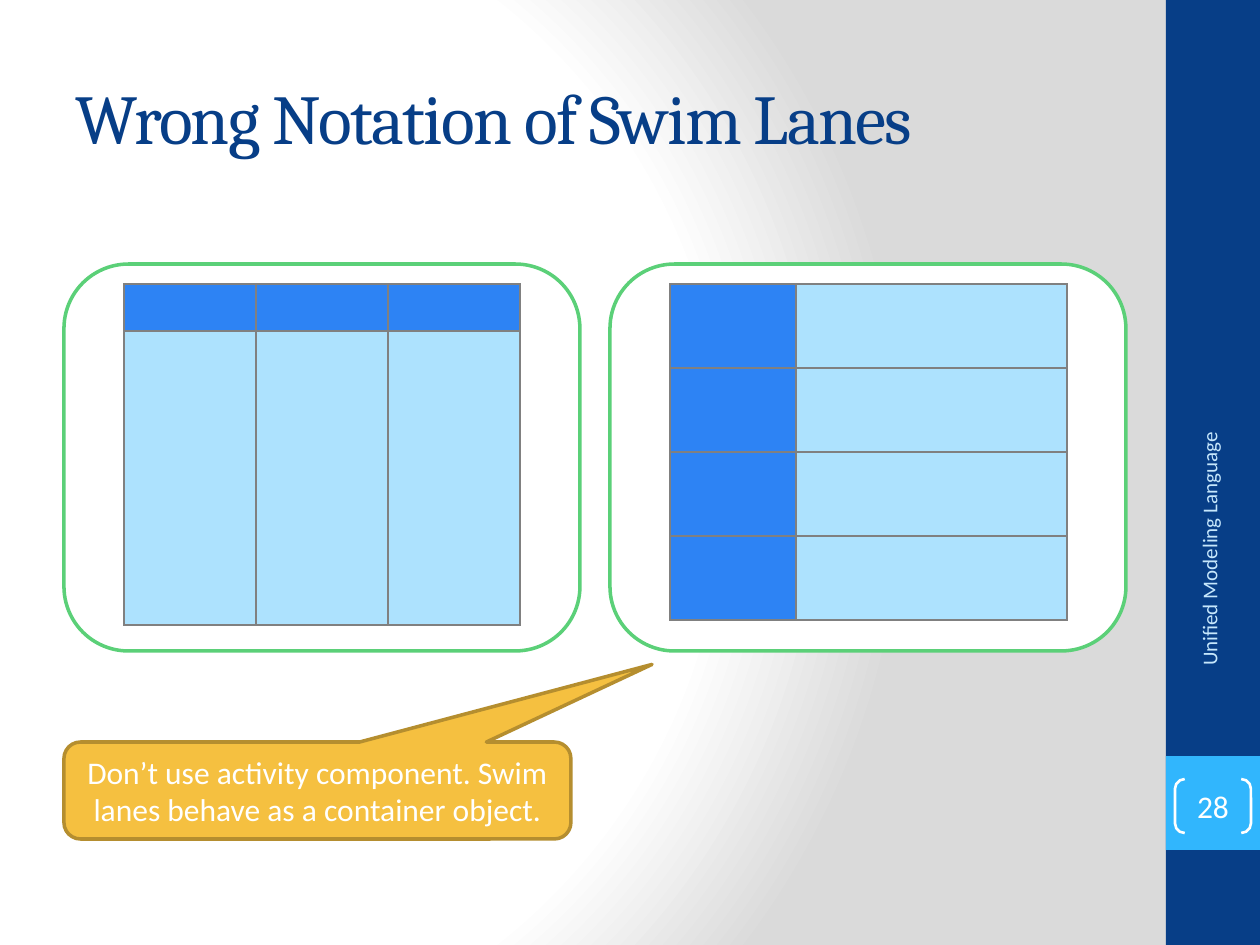
from dataclasses import dataclass
from typing import Optional

from lxml import etree
from pptx import Presentation
from pptx import util as u
from pptx.dml.color import RGBColor
from pptx.enum import shapes, text
from pptx.oxml import ns, parse_xml

PX_PER_INCH = 126
SHAPE = shapes.MSO_SHAPE
ALIGN = text.PP_ALIGN


@dataclass(frozen=True)
class Theme:
    navy: str = "073E87"
    sky: str = "31B6FD"
    pale_sky: str = "C6E7FC"
    white: str = "FFFFFF"
    grey: str = "DADADA"
    green: str = "5BD078"
    header: str = "2D83F4"
    lane: str = "ADE2FE"
    border: str = "808080"
    amber: str = "F5C040"
    dark_amber: str = "B58E2F"
    heading_font: str = "Cambria"
    body_font: str = "Calibri"
    title_size: int = 40
    body_size: int = 18
    footer_size: int = 12


THEME = Theme()


@dataclass(frozen=True)
class Box:
    left: int
    top: int
    width: int
    height: int

    def emu(self) -> tuple:
        return tuple(px(n) for n in (self.left, self.top, self.width, self.height))


@dataclass(frozen=True)
class Label:
    words: str
    size: int
    color: str
    font: str = THEME.body_font
    align: ALIGN = ALIGN.CENTER


@dataclass(frozen=True)
class Block:
    kind: SHAPE
    box: Box
    fill: Optional[str] = None
    line: Optional[str] = None
    line_width: float = 2
    adjustments: tuple = ()
    label: Optional[Label] = None
    inset: Optional[int] = None


@dataclass(frozen=True)
class Lanes:
    """A swim lane grid inside a rounded activity; headers run along the top or the left."""
    activity: Box
    grid: Box
    columns: tuple
    rows: tuple
    header_on_top: bool


def px(n: int) -> u.Emu:
    return u.Emu(round(n * u.Inches(1) / PX_PER_INCH))


def rgb(color: str) -> RGBColor:
    return RGBColor.from_string(color)


def write(shape, label: Label):
    frame = shape.text_frame
    frame.word_wrap = True
    frame.vertical_anchor = text.MSO_ANCHOR.MIDDLE
    paragraph = frame.paragraphs[0]
    paragraph.text = label.words
    paragraph.alignment = label.align
    paragraph.font.name = label.font
    paragraph.font.size = u.Pt(label.size)
    paragraph.font.color.rgb = rgb(label.color)
    return paragraph


def draw_block(slide, block: Block) -> None:
    shape = slide.shapes.add_shape(block.kind, *block.box.emu())
    shape.shadow.inherit = False
    for index, value in enumerate(block.adjustments):
        shape.adjustments[index] = value
    if block.fill:
        shape.fill.solid()
        shape.fill.fore_color.rgb = rgb(block.fill)
    else:
        shape.fill.background()
    if block.line:
        shape.line.color.rgb = rgb(block.line)
        shape.line.width = u.Pt(block.line_width)
    else:
        shape.line.fill.background()
    if block.label:
        write(shape, block.label)
    if block.inset is not None:
        frame = shape.text_frame
        frame.margin_left = frame.margin_right = px(block.inset)
        frame.margin_top = frame.margin_bottom = px(block.inset)


def draw_text(slide, box: Box, label: Label, rotation: int = 0):
    shape = slide.shapes.add_textbox(*box.emu())
    shape.rotation = rotation
    return write(shape, label)


def add_borders(cell, color: str) -> None:
    properties = cell._tc.get_or_add_tcPr()
    for side in ("lnL", "lnR", "lnT", "lnB"):
        line = etree.SubElement(properties, ns.qn(f"a:{side}"), w=str(u.Pt(1)))
        fill = etree.SubElement(line, ns.qn("a:solidFill"))
        etree.SubElement(fill, ns.qn("a:srgbClr"), val=color)


def draw_lanes(slide, lanes: Lanes) -> None:
    draw_block(slide, Block(SHAPE.ROUNDED_RECTANGLE, lanes.activity, THEME.white, THEME.green))
    table = slide.shapes.add_table(len(lanes.rows), len(lanes.columns), *lanes.grid.emu()).table
    table.first_row = table.horz_banding = False
    for column, width in zip(table.columns, lanes.columns):
        column.width = px(width)
    for row_index, (row, height) in enumerate(zip(table.rows, lanes.rows)):
        row.height = px(height)
        for column_index, cell in enumerate(row.cells):
            is_header = (row_index if lanes.header_on_top else column_index) == 0
            cell.margin_top = cell.margin_bottom = 0
            add_borders(cell, THEME.border)
            cell.fill.solid()
            cell.fill.fore_color.rgb = rgb(THEME.header if is_header else THEME.lane)


def set_background(slide) -> None:
    """Fill with a radial gradient, white at the left and grey at the right."""
    fill = slide.background.fill
    fill.gradient()
    stops = ((0, THEME.white), (75, THEME.white), (100, THEME.grey))
    stop_xml = "".join(
        f'<a:gs pos="{position * 1000}"><a:srgbClr val="{color}"/></a:gs>'
        for position, color in stops)
    gradient = parse_xml(
        f'<a:gradFill {ns.nsdecls("a")} rotWithShape="1"><a:gsLst>{stop_xml}</a:gsLst>'
        '<a:path path="circle"><a:fillToRect l="20000" t="50000" r="100000" b="50000"/>'
        '</a:path></a:gradFill>')
    old = slide._element.find(".//" + ns.qn("a:gradFill"))
    old.getparent().replace(old, gradient)


def main() -> None:
    presentation = Presentation()
    presentation.slide_width, presentation.slide_height = px(1260), px(945)
    slide = presentation.slides.add_slide(presentation.slide_layouts[6])
    set_background(slide)

    draw_block(slide, Block(SHAPE.RECTANGLE, Box(1166, 0, 94, 945), THEME.navy))
    draw_block(slide, Block(SHAPE.RECTANGLE, Box(1166, 756, 94, 94), THEME.sky))

    title = draw_text(slide, Box(63, 38, 1050, 157), Label(
        "Wrong Notation of Swim Lanes", THEME.title_size, THEME.navy,
        THEME.heading_font, ALIGN.LEFT))
    title.runs[0]._r.get_or_add_rPr().set("spc", "-100")

    for lanes in (
        Lanes(Box(64, 264, 516, 387), Box(124, 284, 396, 341), (132,) * 3, (47, 294), True),
        Lanes(Box(610, 264, 516, 387), Box(670, 284, 396, 337), (126, 271), (84,) * 4, False),
    ):
        draw_lanes(slide, lanes)

    draw_text(slide, Box(1046, 558, 326, 50), Label(
        "Unified Modeling Language", THEME.footer_size, THEME.pale_sky,
        align=ALIGN.RIGHT), rotation=270)
    draw_block(slide, Block(
        SHAPE.DOUBLE_BRACKET, Box(1175, 779, 76, 54), line=THEME.white, line_width=1.5,
        adjustments=(0.18,), label=Label("28", THEME.body_size, THEME.white), inset=0))
    draw_block(slide, Block(
        SHAPE.ROUNDED_RECTANGULAR_CALLOUT, Box(64, 742, 507, 97), THEME.amber,
        THEME.dark_amber, adjustments=(0.66, -1.3, 0.17), label=Label(
            "Don’t use activity component. Swim lanes behave as a container object.",
            THEME.body_size, THEME.white)))
    presentation.save("out.pptx")


if __name__ == "__main__":
    main()
